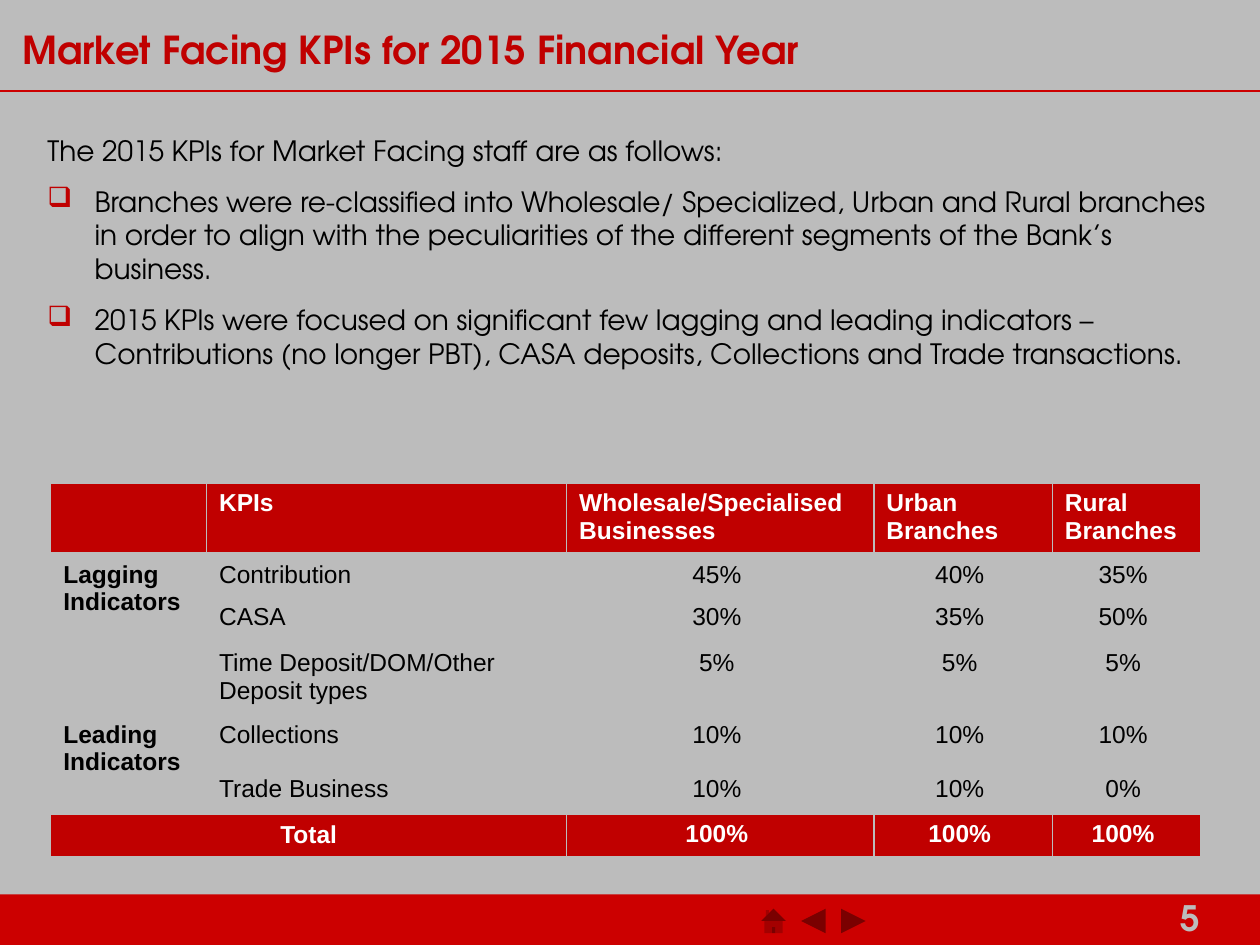
from lxml import etree
from pptx import Presentation
from pptx.dml.color import RGBColor
from pptx.enum import shapes, text
from pptx.oxml import ns
from pptx.util import Pt

THEME = {
    "paper": "BCBCBC", "bar": "CC0000", "accent": "C00000", "ink": "000000", "white": "FFFFFF",
    "display": "TeX Gyre Adventor", "table": "Arial",
    "title_size": 22, "number_size": 20, "body_size": 16, "cell_size": 14,
}
WIDTH, HEIGHT = 720, 540

TITLE = "Market Facing KPIs for 2015 Financial Year"
PAGE_NUMBER = "5"
INTRO = "The 2015 KPIs for Market Facing staff are as follows:"
POINTS = [
    "Branches were re-classified into Wholesale/ Specialized, Urban and Rural branches in order "
    "to align with the peculiarities of the different segments of the Bank’s business.",
    "2015 KPIs were focused on significant few lagging and leading indicators – Contributions "
    "(no longer PBT), CASA deposits, Collections and Trade transactions.",
]
HEADERS = ["", "KPIs", "Wholesale/Specialised Businesses", "Urban Branches", "Rural Branches"]
GROUPS = [
    ("Lagging Indicators", [
        ("Contribution", 45, 40, 35),
        ("CASA", 30, 35, 50),
        ("Time Deposit/DOM/Other Deposit types", 5, 5, 5),
    ]),
    ("Leading Indicators", [
        ("Collections", 10, 10, 10),
        ("Trade Business", 10, 10, 0),
    ]),
]
TOTALS = (100, 100, 100)
COLUMN_WIDTHS = [89, 205.8, 175.6, 102, 84.8]
ROW_HEIGHTS = [34, 23, 26.6, 36, 31, 26, 23]

SHAPE = shapes.MSO_SHAPE
NAV_BUTTONS = [SHAPE.ACTION_BUTTON_HOME, SHAPE.ACTION_BUTTON_FORWARD_OR_NEXT,
               SHAPE.ACTION_BUTTON_BACK_OR_PREVIOUS, SHAPE.ACTION_BUTTON_CUSTOM]
NAV_LEFT, NAV_TOP, NAV_STEP, NAV_WIDTH, NAV_HEIGHT = 432.7, 514.4, 22.8, 18.7, 23.8


def rgb(role):
    return RGBColor.from_string(THEME[role])


def add_xml(parent, tag, **attributes):
    return etree.SubElement(parent, ns.qn(tag), attributes)


def style(paragraph, family, size, colour, bold=False):
    font = paragraph.font
    font.name, font.size, font.bold = THEME[family], Pt(THEME[size]), bold
    font.color.rgb = rgb(colour)


def space(paragraph):
    paragraph.space_before = paragraph.space_after = Pt(5)


def add_bar_shape(slide, kind, *box):
    part = slide.shapes.add_shape(kind, *map(Pt, box))
    part.shadow.inherit = False
    part.fill.solid()
    part.fill.fore_color.rgb = rgb("bar")
    part.line.fill.background()
    return part


def add_text_frame(slide, *box):
    frame = slide.shapes.add_textbox(*map(Pt, box)).text_frame
    frame.word_wrap = True
    frame.auto_size = text.MSO_AUTO_SIZE.SHAPE_TO_FIT_TEXT
    return frame


def add_footer(slide):
    add_bar_shape(slide, SHAPE.RECTANGLE, 0, 511, WIDTH, 29)
    number = add_text_frame(slide, 667.4, 509, 52.6, 31).paragraphs[0]
    number.text = PAGE_NUMBER
    style(number, "display", "number_size", "paper", True)
    for i, kind in enumerate(NAV_BUTTONS):
        button = add_bar_shape(slide, kind, NAV_LEFT + i * NAV_STEP, NAV_TOP, NAV_WIDTH, NAV_HEIGHT)
        button.element.spPr.find(ns.qn("a:xfrm")).set("flipH", "1")


def add_heading(slide):
    rule = slide.shapes.add_connector(
        shapes.MSO_CONNECTOR.STRAIGHT, Pt(0), Pt(52), Pt(WIDTH), Pt(52))
    rule.line.color.rgb = rgb("bar")
    rule.line.width = Pt(0.75)
    add_xml(rule.element.spPr, "a:effectLst")

    title = slide.shapes.title
    title.left, title.top, title.width, title.height = map(Pt, (5.8, 5.8, 594, 49))
    frame = title.text_frame
    frame.text = TITLE
    frame.word_wrap = True
    frame.auto_size = text.MSO_AUTO_SIZE.NONE
    frame.vertical_anchor = text.MSO_ANCHOR.MIDDLE
    heading = frame.paragraphs[0]
    heading.alignment = text.PP_ALIGN.LEFT
    heading.line_spacing = 0.85
    style(heading, "display", "title_size", "accent", True)


def add_body(slide):
    frame = add_text_frame(slide, 20, 72.7, 686, 144)
    for i, sentence in enumerate([INTRO] + POINTS):
        paragraph = frame.add_paragraph() if i else frame.paragraphs[0]
        paragraph.text = sentence
        space(paragraph)
        if i:
            properties = paragraph._p.get_or_add_pPr()
            properties.set("marL", str(Pt(27)))
            properties.set("indent", str(-Pt(27)))
            add_xml(add_xml(properties, "a:buClr"), "a:srgbClr", val=THEME["accent"])
            add_xml(properties, "a:buChar", char="❑")
        style(paragraph, "display", "body_size", "ink")


def format_cell(cell, is_header, is_filled, is_bold, is_centred):
    properties = cell._tc.get_or_add_tcPr()
    for side in "LRTB":
        width = 3 if is_header and side == "B" else 1
        line = add_xml(properties, f"a:ln{side}", w=str(Pt(width)))
        add_xml(add_xml(line, "a:solidFill"), "a:srgbClr", val=THEME["paper"])
    if is_filled:
        cell.fill.solid()
        cell.fill.fore_color.rgb = rgb("accent")
    else:
        cell.fill.background()
    paragraph = cell.text_frame.paragraphs[0]
    space(paragraph)
    if is_centred:
        paragraph.alignment = text.PP_ALIGN.CENTER
    style(paragraph, "table", "cell_size", "white" if is_filled else "ink", is_bold)


def add_kpi_table(slide):
    rows, spans = [HEADERS], []
    for group, kpis in GROUPS:
        spans.append((len(rows), len(rows) + len(kpis) - 1))
        for i, (kpi, *shares) in enumerate(kpis):
            rows.append(["" if i else group, kpi] + [f"{share}% " for share in shares])
    rows.append(["Total", ""] + [f"{share}% " for share in TOTALS])
    last = len(rows) - 1

    table = slide.shapes.add_table(len(rows), len(HEADERS), Pt(29), Pt(276),
                                   Pt(sum(COLUMN_WIDTHS)), Pt(sum(ROW_HEIGHTS))).table
    table.first_row = table.horz_banding = False
    for column, width in zip(table.columns, COLUMN_WIDTHS):
        column.width = Pt(width)
    for row, height in zip(table.rows, ROW_HEIGHTS):
        row.height = Pt(height)
    for r, row in enumerate(rows):
        for c, words in enumerate(row):
            cell = table.cell(r, c)
            cell.text = words
            is_filled = r in (0, last)
            format_cell(cell, r == 0, is_filled, is_filled or c == 0,
                        r == last or (r > 0 and c > 1))
    for first, final in spans:
        table.cell(first, 0).merge(table.cell(final, 0))
    total = table.cell(last, 0)
    total.merge(table.cell(last, 1))
    total.vertical_anchor = text.MSO_ANCHOR.MIDDLE
    total.margin_left = total.margin_right = total.margin_top = total.margin_bottom = 0


def main():
    deck = Presentation()
    deck.slide_width, deck.slide_height = Pt(WIDTH), Pt(HEIGHT)
    slide = deck.slides.add_slide(deck.slide_layouts[5])
    slide.background.fill.solid()
    slide.background.fill.fore_color.rgb = rgb("paper")
    add_footer(slide)
    add_heading(slide)
    add_body(slide)
    add_kpi_table(slide)
    deck.save("out.pptx")


if __name__ == "__main__":
    main()
